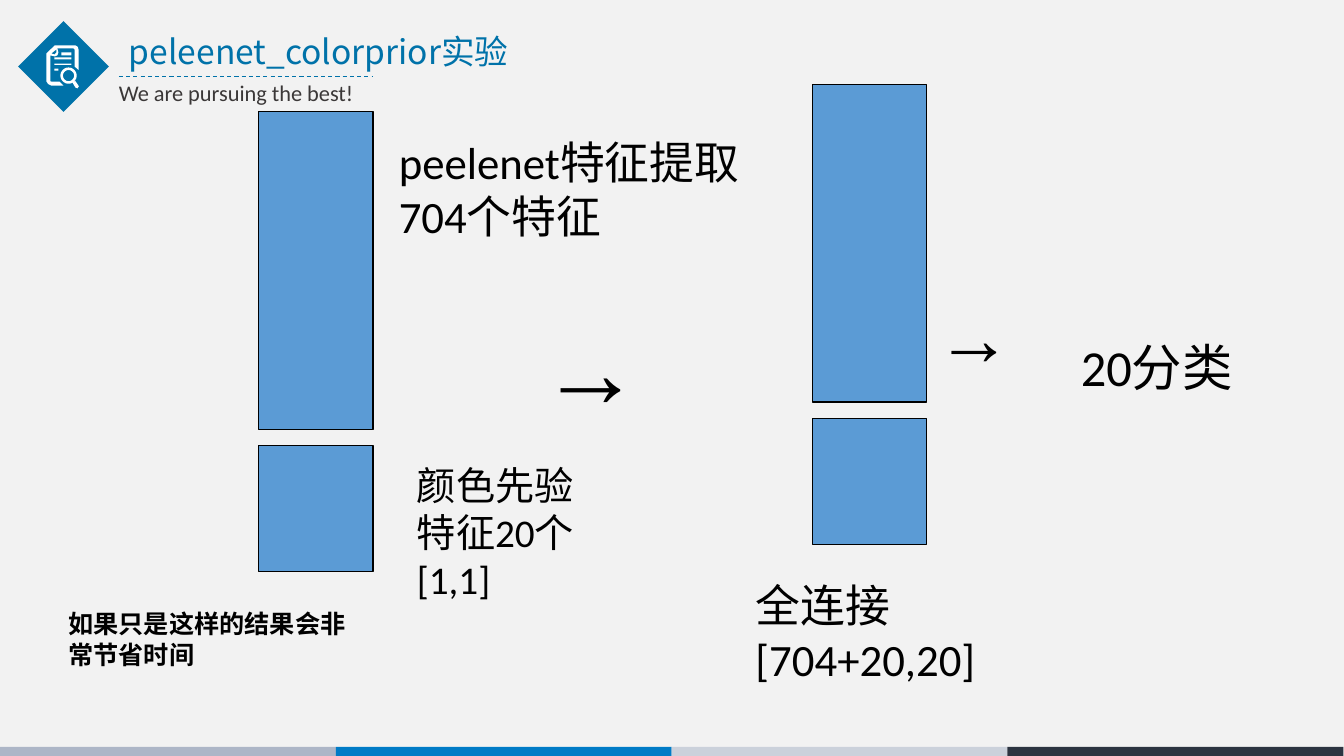
import math

from pptx import Presentation
from pptx.dml.color import RGBColor
from pptx.enum.dml import MSO_LINE
from pptx.enum.shapes import MSO_CONNECTOR, MSO_SHAPE
from pptx.enum.text import MSO_AUTO_SIZE
from pptx.oxml.ns import qn
from pptx.util import Pt

RECTANGLE, DIAMOND = MSO_SHAPE.RECTANGLE, MSO_SHAPE.DIAMOND
STRAIGHT = MSO_CONNECTOR.STRAIGHT
DASH = MSO_LINE.DASH
GROW = MSO_AUTO_SIZE.SHAPE_TO_FIT_TEXT

BACKGROUND = RGBColor(0xF2, 0xF2, 0xF2)
BRAND_BLUE = RGBColor(0x00, 0x72, 0xA9)
BLOCK_BLUE = RGBColor(0x5B, 0x9B, 0xD5)
DARK_GRAY = RGBColor(0x3B, 0x38, 0x38)
BLACK = RGBColor(0x00, 0x00, 0x00)
WHITE = RGBColor(0xFF, 0xFF, 0xFF)
FOOTER_COLORS = (
    RGBColor(0xAD, 0xB6, 0xC7),
    RGBColor(0x00, 0x7B, 0xC6),
    RGBColor(0xCB, 0xD1, 0xDB),
    RGBColor(0x2C, 0x34, 0x41),
)
LATIN, CHINESE, SYMBOL = "Calibri", "Noto Sans CJK SC", "Arial"


class SlideBuilder:
    def __init__(self, slide):
        self.slide = slide
        self.shapes = slide.shapes
        background = slide.background.fill
        background.solid()
        background.fore_color.rgb = BACKGROUND

    def paint(self, shape, fill, outline=None):
        shape.shadow.inherit = False
        shape.fill.solid()
        shape.fill.fore_color.rgb = fill
        if outline is None:
            shape.line.fill.background()
        else:
            shape.line.color.rgb = outline
            shape.line.width = Pt(0.75)

    def shape(self, kind, left, top, width, height, fill, outline=None):
        box = self.shapes.add_shape(kind, Pt(left), Pt(top), Pt(width), Pt(height))
        self.paint(box, fill, outline)

    def text(self, words, left, top, width, height, size=32, font=LATIN,
             color=BLACK, bold=False):
        box = self.shapes.add_textbox(Pt(left), Pt(top), Pt(width), Pt(height))
        frame = box.text_frame
        frame.word_wrap = True
        frame.auto_size = GROW
        run = frame.paragraphs[0].add_run()
        run.text = words
        run.font.size = Pt(size)
        run.font.name = font
        run.font.bold = bold
        run.font.color.rgb = color
        properties = run._r.get_or_add_rPr()
        east_asian = properties.makeelement(qn("a:ea"), {"typeface": CHINESE})
        properties.find(qn("a:latin")).addnext(east_asian)

    def dashed_line(self, left, right, y, color):
        line = self.shapes.add_connector(STRAIGHT, Pt(left), Pt(y), Pt(right), Pt(y))
        line.line.color.rgb = color
        line.line.width = Pt(0.75)
        line.line.dash_style = DASH
        properties = line._element.spPr
        properties.append(properties.makeelement(qn("a:effectLst"), {}))

    def outline(self, contours, fill):
        """Draw closed contours as one shape; inner contours become holes."""
        tenths = [[(x * 10, y * 10) for x, y in contour] for contour in contours]
        builder = self.shapes.build_freeform(*tenths[0][0], scale=Pt(0.1))
        for index, (start, *rest) in enumerate(tenths):
            if index:
                builder.move_to(*start)
            builder.add_line_segments(rest, close=True)
        self.paint(builder.convert_to_shape(), fill)


def circle(x, y, radius, steps=32):
    angles = [2 * math.pi * step / steps for step in range(steps)]
    return [(x + radius * math.cos(a), y + radius * math.sin(a)) for a in angles]


def bar(left, top, right, bottom):
    return [(left, top), (right, top), (right, bottom), (left, bottom)]


def document_icon():
    page = [(39.2, 32.4), (54, 32.4), (55.6, 33.5), (56.2, 35.5), (56.2, 50),
            (53.3, 47.5), (53.3, 35.3), (52.6, 34.6), (41, 34.6), (41.8, 37.5),
            (41, 39.6), (39.2, 40.3), (36, 39.6), (36, 58), (36.7, 58.3),
            (42.5, 58.3), (45.4, 61.2), (36.7, 61.2), (34.4, 60), (33.1, 58),
            (33.1, 38.2)]
    fold = [(40.3, 35.3), (36.7, 38.2), (39, 38.9), (40.3, 37.5)]
    lines = [bar(43.9, 37.4, 51.1, 39.6), bar(38.9, 41, 51.1, 42.5),
             bar(38.9, 45.4, 51.1, 46.4), bar(38.9, 49, 41.8, 50.4)]
    handle = [(52, 59.3), (54, 62.6), (55.4, 63.1), (56.4, 61.6), (53.8, 57.8)]
    return [page, fold, *lines, circle(49, 54, 5.8), circle(49, 54, 4), handle]


def main():
    deck = Presentation()
    deck.slide_width, deck.slide_height = Pt(960.48), Pt(540)
    page = SlideBuilder(deck.slides.add_slide(deck.slide_layouts[6]))

    for index, color in enumerate(FOOTER_COLORS):
        page.shape(RECTANGLE, index * 240, 533.5, 240, 8.6, color)

    page.shape(DIAMOND, 13, 15.1, 64.8, 64.8, BRAND_BLUE)
    page.text("peleenet_colorprior实验", 85, 18.7, 321.8, 36, size=24,
              font=CHINESE, color=BRAND_BLUE)
    page.dashed_line(85, 266.4, 54.7, BRAND_BLUE)
    page.text("We are pursuing the best!", 77.8, 53.3, 242.6, 26.6, size=16,
              color=DARK_GRAY)
    page.outline(document_icon(), WHITE)

    for left, top in ((185, 80), (580.7, 60.2)):
        page.shape(RECTANGLE, left, top, 81.6, 227, BLOCK_BLUE, BLACK)
        page.shape(RECTANGLE, left, top + 238.5, 81.6, 90, BLOCK_BLUE, BLACK)

    page.text("peelenet特征提取704个特征", 277.9, 92.9, 262.8, 84.2)
    page.text("颜色先验特征20个[1,1]", 290.9, 326.2, 139, 108, size=28)
    page.text("→", 379.4, 215.3, 136.8, 93.6, size=72, font=SYMBOL)
    page.text("全连接[704+20,20]", 532.8, 409, 222.5, 84.2)
    page.text("→", 662.4, 203.8, 126.7, 72, size=54, font=SYMBOL)
    page.text("20分类", 765.4, 236.2, 162.7, 50.4, size=36)
    page.text("如果只是这样的结果会非常节省时间", 41.8, 431.3, 214.6, 72,
              size=18, bold=True)

    deck.save("out.pptx")


if __name__ == "__main__":
    main()
